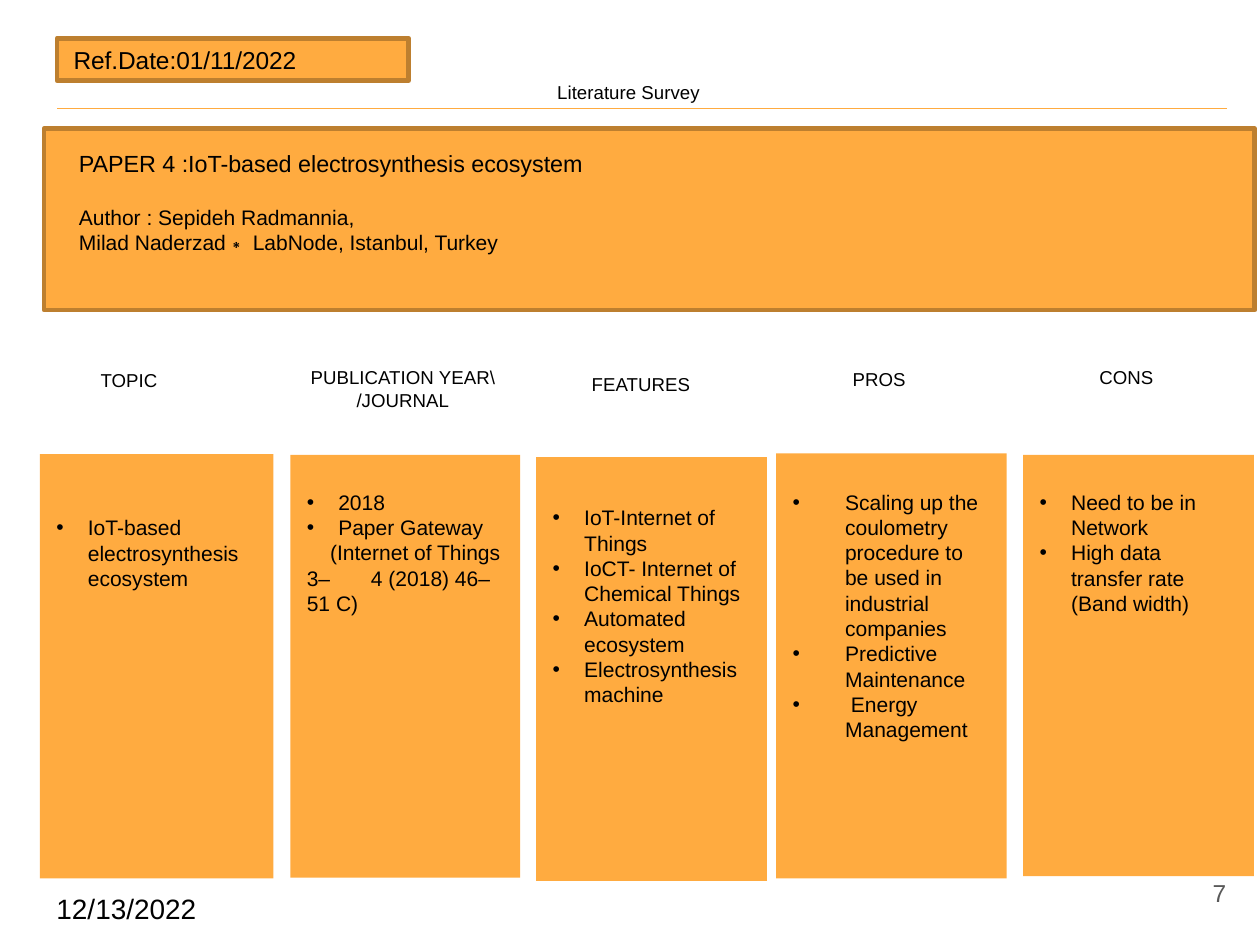
from lxml.etree import SubElement
from pptx import Presentation
from pptx.dml.color import RGBColor
from pptx.enum.shapes import MSO_CONNECTOR, MSO_SHAPE
from pptx.enum.text import MSO_ANCHOR, PP_ALIGN
from pptx.oxml.ns import qn
from pptx.util import Pt

# Content
COLORS = {"card": "FFAB40", "edge": "BD7F2F", "ink": "000000", "grey": "595959"}
TITLE = "Literature Survey"
REF = "Ref.Date:01/11/2022"
DATE = "12/13/2022"
PAGE = "7"
PAPER = [
    ("PAPER 4 :IoT-based electrosynthesis ecosystem", 10, 0),
    ("Author : Sepideh Radmannia,", 9, 11.7),
    ("Milad Naderzad∗ LabNode, Istanbul, Turkey", 9, 0),
]
# Heading lines, heading (left, top, width), alignment
HEADS = [
    (["TOPIC"], (36, 154.5, 62), PP_ALIGN.LEFT),
    (["PUBLICATION YEAR\\", "/JOURNAL"], (122.7, 153.4, 100), PP_ALIGN.CENTER),
    (["FEATURES"], (246.5, 156.2, 82), PP_ALIGN.LEFT),
    (["PROS"], (358.3, 154.1, 76), PP_ALIGN.LEFT),
    (["CONS"], (464.1, 153.4, 54), PP_ALIGN.LEFT),
]
# Card box, space above the text, bullet indent, bullets, parts of a closing line
CARDS = [
    ((17.1, 194.6, 100.1, 181.9), 26.1, 13.5,
     ["IoT-based electrosynthesis ecosystem"], None),
    ((124.4, 195, 98.5, 181.2), 14.8, 13.5,
     ["2018", "Paper Gateway"], ("(Internet of Things 3–", "4 (2018) 46–51 C)")),
    ((229.8, 196, 98.9, 181.6), 20.4, 13.5,
     ["IoT-Internet of Things", "IoCT- Internet of Chemical Things",
      "Automated ecosystem", "Electrosynthesis machine"], None),
    ((332.6, 194.3, 98.9, 182.2), 15.4, 22.5,
     ["Scaling up the coulometry procedure to be used in industrial companies",
      "Predictive Maintenance", " Energy Management"], None),
    ((438.5, 195, 98.9, 180.5), 14.8, 13.5,
     ["Need to be in Network", "High data transfer rate (Band width)"], None),
]

deck = Presentation()
deck.slide_width, deck.slide_height = Pt(540), Pt(405)
slide = deck.slides.add_slide(deck.slide_layouts[6])


def put(item, values):
    for name, value in values.items():
        setattr(item, name, value)


def rgb(name):
    return RGBColor.from_string(COLORS[name])


def draw(box, edge=None):
    shape = slide.shapes.add_shape(MSO_SHAPE.RECTANGLE, *map(Pt, box))
    shape.shadow.inherit = False
    shape.fill.solid()
    shape.fill.fore_color.rgb = rgb("card")
    if edge:
        shape.line.color.rgb = rgb(edge)
        shape.line.width = Pt(2)
    else:
        shape.line.fill.background()
    return shape


def setup(shape, anchor=MSO_ANCHOR.TOP, top=3.6, foot=3.6):
    frame = shape.text_frame
    put(frame, {"word_wrap": True, "vertical_anchor": anchor,
                "margin_left": Pt(7.2), "margin_right": Pt(7.2),
                "margin_top": Pt(top), "margin_bottom": Pt(foot)})
    return frame


def ink(para, text, size, color="ink"):
    run = para.add_run()
    run.text = text
    put(run.font, {"name": "Arial", "size": Pt(size)})
    run.font.color.rgb = rgb(color)
    return run


def write(frame, text, size, align=PP_ALIGN.LEFT, color="ink", gap=0):
    para = frame.paragraphs[0]
    if para.runs:
        para = frame.add_paragraph()
    put(para, {"alignment": align, "space_before": Pt(gap)})
    ink(para, text, size, color)
    return para


def label(box, *args, anchor=MSO_ANCHOR.MIDDLE, **style):
    write(setup(slide.shapes.add_textbox(*map(Pt, box)), anchor), *args, **style)


def indent(para, left, first):
    props = para._p.get_or_add_pPr()
    props.set("marL", str(Pt(left)))
    props.set("indent", str(Pt(first)))
    return props


def bullet(para, depth):
    props = indent(para, depth, -depth)
    tint = SubElement(props, qn("a:buClr"))
    SubElement(tint, qn("a:srgbClr"), val=COLORS["ink"])
    SubElement(props, qn("a:buFont"), typeface="Arial")
    SubElement(props, qn("a:buChar"), char="•")


def finish(frame, head, tail):
    # One stretched space sets the wide gap
    para = write(frame, head, 9)
    indent(para, 0, 10)
    ink(para, " ", 9).font._element.set("spc", "1500")
    ink(para, tail, 9)


# Page number, date and title
label((500.2, 367.2, 32.4, 31), PAGE, 10.5, align=PP_ALIGN.RIGHT, color="grey")
label((17.1, 378.7, 121.7, 21.6), DATE, 12)
label((18.9, 4, 501.1, 43.9), TITLE, 8, align=PP_ALIGN.CENTER,
      anchor=MSO_ANCHOR.BOTTOM)

# Rule under the title
rule = slide.shapes.add_connector(
    MSO_CONNECTOR.STRAIGHT, Pt(24.5), Pt(46.5), Pt(525.8), Pt(46.5))
rule.line.color.rgb = rgb("card")
rule.line.width = Pt(0.75)
SubElement(rule._element.spPr, qn("a:effectLst"))

# Cards
for box, top, depth, points, close in CARDS:
    frame = setup(draw(box), top=top, foot=7.2)
    for point in points:
        bullet(write(frame, point, 9), depth)
    if close:
        finish(frame, *close)

# Column headings
for lines, (left, top, width), align in HEADS:
    box = slide.shapes.add_textbox(
        Pt(left), Pt(top), Pt(width), Pt(7.2 + 10 * len(lines)))
    frame = setup(box)
    for line in lines:
        write(frame, line, 8, align)

# Paper panel
draw((18.9, 55.2, 518.9, 77.7), "edge")
frame = setup(slide.shapes.add_textbox(Pt(26.7), Pt(60.5), Pt(471.6), Pt(53.3)))
for text, size, gap in PAPER:
    write(frame, text, size, gap=gap)

# Reference date
badge = draw((24.5, 16.4, 150.7, 18.2), "edge")
write(setup(badge, MSO_ANCHOR.MIDDLE), REF, 10.5)

deck.save("out.pptx")
